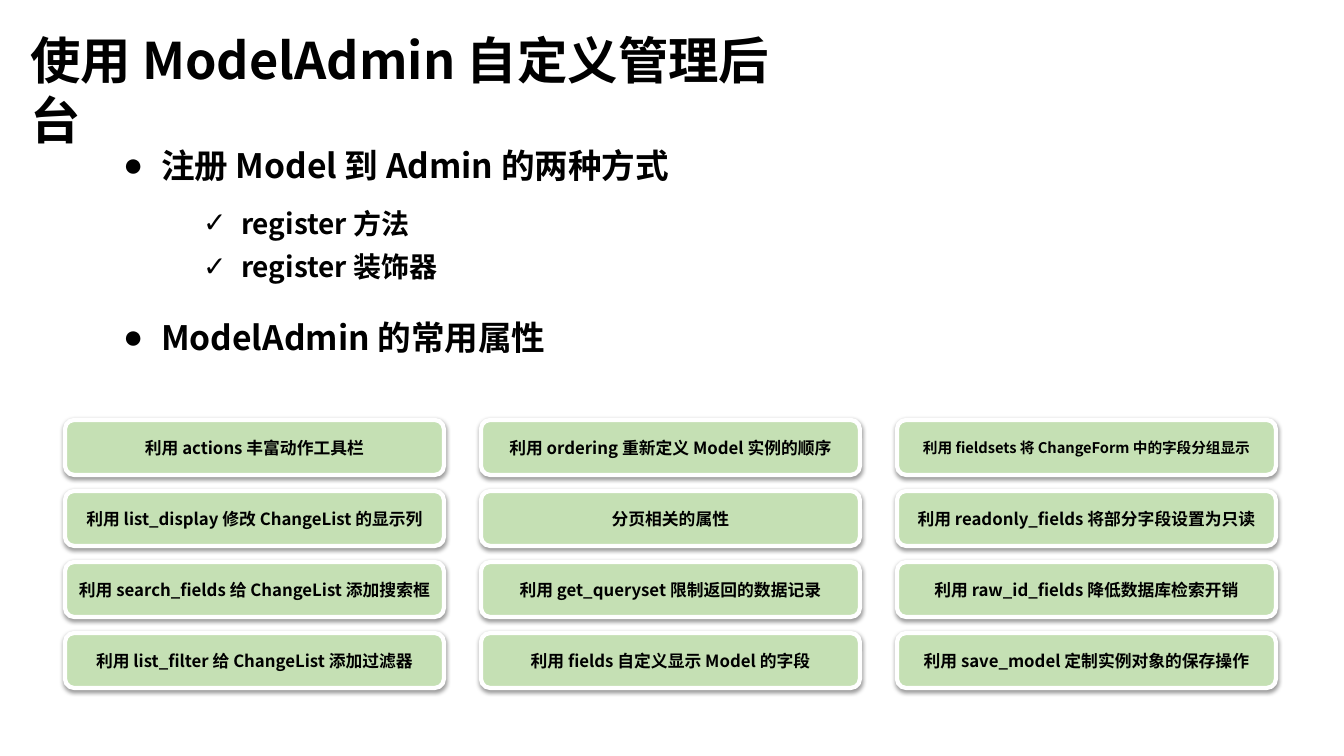
from lxml import etree
from pptx import Presentation
from pptx.dml.color import RGBColor
from pptx.enum.shapes import MSO_SHAPE as Shape
from pptx.enum.text import MSO_ANCHOR as Anchor, MSO_AUTO_SIZE as AutoSize, PP_ALIGN as Align
from pptx.oxml import parse_xml
from pptx.oxml.ns import nsdecls, qn
from pptx.util import Pt

PX = 914400 / 100.8
FONT = "Noto Sans CJK SC"
BLACK = RGBColor(0x00, 0x00, 0x00)
WHITE = RGBColor(0xFF, 0xFF, 0xFF)
GREEN = RGBColor(0xC5, 0xE0, 0xB4)

BULLETS = [  # text, level, bullet, text indent in px, size, space before
    ("注册 Model 到 Admin 的两种方式", 0, "●", 38, 24, 0),
    ("register 方法", 1, "✓", 118, 20, 15),
    ("register 装饰器", 1, "✓", 118, 20, 7),
    ("ModelAdmin 的常用属性", 0, "●", 38, 24, 24),
]
CARD_COLUMNS = [
    [
        "利用 actions 丰富动作工具栏",
        "利用 list_display 修改 ChangeList 的显示列",
        "利用 search_fields 给 ChangeList 添加搜索框",
        "利用 list_filter 给 ChangeList 添加过滤器",
    ],
    [
        "利用 ordering 重新定义 Model 实例的顺序",
        "分页相关的属性",
        "利用 get_queryset 限制返回的数据记录",
        "利用 fields 自定义显示 Model 的字段",
    ],
    [
        "利用 fieldsets 将 ChangeForm 中的字段分组显示",
        "利用 readonly_fields 将部分字段设置为只读",
        "利用 raw_id_fields 降低数据库检索开销",
        "利用 save_model 定制实例对象的保存操作",
    ],
]
CARD_LEFT, CARD_TOP, CARD_WIDTH, CARD_HEIGHT = 65, 420, 379, 55
COLUMN_STEP, ROW_STEP = 416, 71
SHADOW = f"""<a:effectLst {nsdecls("a")}>
  <a:outerShdw blurRad="{Pt(3.1)}" dist="{Pt(1.6)}" dir="5400000" rotWithShape="0">
    <a:srgbClr val="000000"><a:alpha val="38000"/></a:srgbClr>
  </a:outerShdw>
</a:effectLst>"""


def px(length):
    return round(length * PX)


def write(paragraph, text, size, align=Align.LEFT, level=0, bullet=None, indent=0, before=0):
    paragraph.level = level
    paragraph.alignment = align
    paragraph.line_spacing = 1.0
    paragraph.space_before = Pt(before)
    paragraph.space_after = Pt(0)
    if bullet:
        properties = paragraph._p.get_or_add_pPr()
        properties.set("marL", str(px(indent)))
        properties.set("indent", str(px(-38)))
        etree.SubElement(properties, qn("a:buChar")).set("char", bullet)
    run = paragraph.add_run()
    run.text = text
    run.font.size = Pt(size)
    run.font.bold = True
    run.font.color.rgb = BLACK
    run.font.name = FONT
    etree.SubElement(run._r.get_or_add_rPr(), qn("a:ea")).set("typeface", FONT)


presentation = Presentation()
presentation.slide_width, presentation.slide_height = px(1344), px(756)
slide = presentation.slides.add_slide(presentation.slide_layouts[1])
title, body = slide.placeholders

for placeholder, box in ((title, (20, 24, 802, 72)), (body, (113, 140, 667, 252))):
    placeholder.left, placeholder.top, placeholder.width, placeholder.height = map(px, box)
    frame = placeholder.text_frame
    frame.word_wrap = True
    frame.auto_size = AutoSize.NONE
    frame.vertical_anchor = Anchor.TOP

write(title.text_frame.paragraphs[0], "使用 ModelAdmin 自定义管理后台", size=36)

for index, (text, level, bullet, indent, size, before) in enumerate(BULLETS):
    frame = body.text_frame
    paragraph = frame.add_paragraph() if index else frame.paragraphs[0]
    write(paragraph, text, size=size, level=level, bullet=bullet, indent=indent, before=before)

for column, labels in enumerate(CARD_COLUMNS):
    for row, label in enumerate(labels):
        card = slide.shapes.add_shape(
            Shape.ROUNDED_RECTANGLE,
            px(CARD_LEFT + column * COLUMN_STEP),
            px(CARD_TOP + row * ROW_STEP),
            px(CARD_WIDTH),
            px(CARD_HEIGHT),
        )
        card.fill.solid()
        card.fill.fore_color.rgb = GREEN
        card.line.color.rgb = WHITE
        card.line.width = Pt(3)
        card._element.spPr.append(parse_xml(SHADOW))
        frame = card.text_frame
        frame.word_wrap = True
        frame.vertical_anchor = Anchor.MIDDLE
        frame.margin_left = frame.margin_right = px(7)
        frame.margin_top = frame.margin_bottom = px(4)
        size = 10.5 if "fieldsets" in label else 12
        write(frame.paragraphs[0], label, size=size, align=Align.CENTER)

presentation.save("out.pptx")
